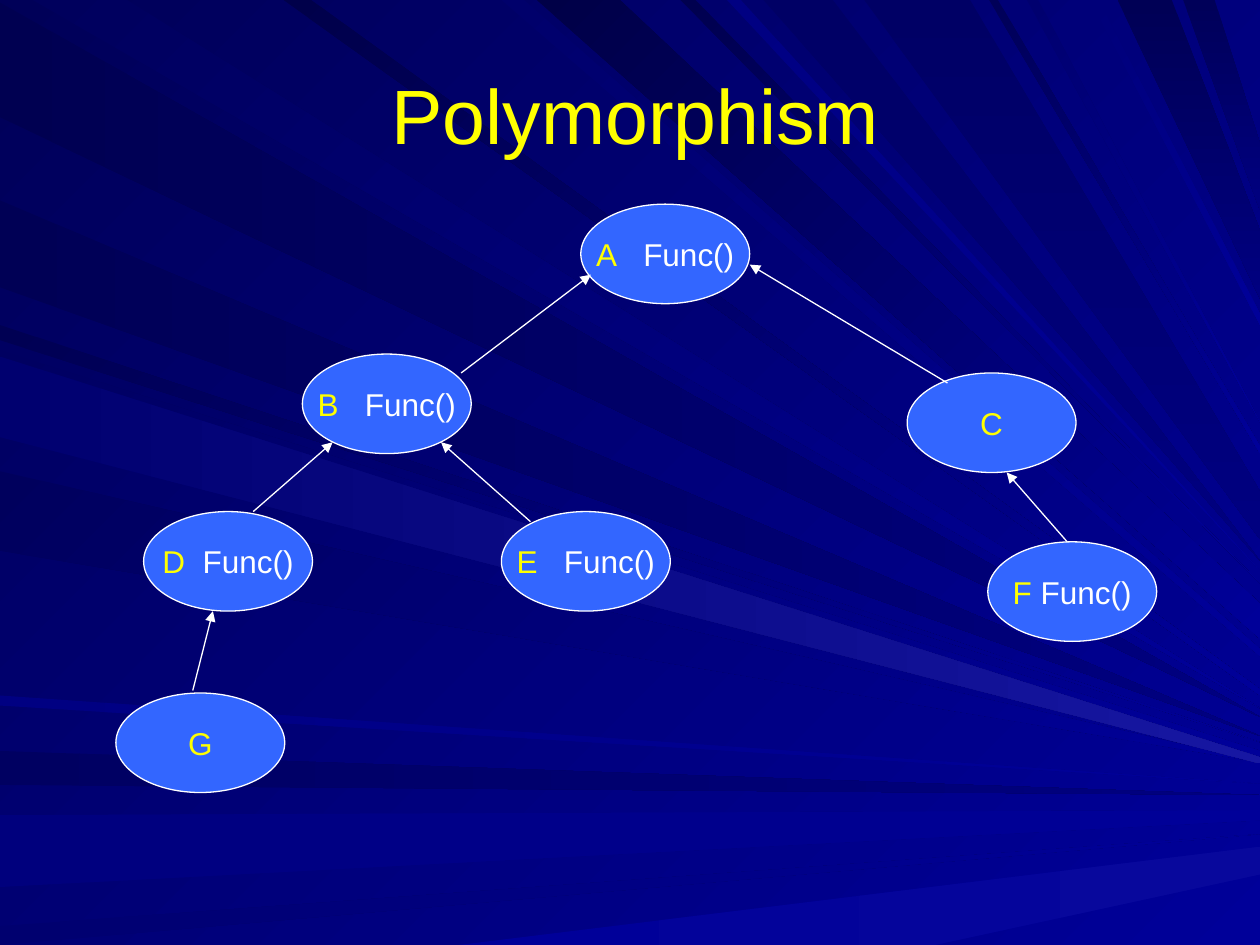
"""Build the Polymorphism slide: a class tree over a fan of blue rays."""
from lxml.etree import SubElement
from pptx import Presentation
from pptx.dml.color import RGBColor
from pptx.enum.shapes import MSO_CONNECTOR, MSO_SHAPE
from pptx.enum.text import MSO_ANCHOR, PP_ALIGN
from pptx.oxml.ns import qn
from pptx.util import Pt

SCALE = 9144
WIDE, HIGH = 1000, 750
NODE_W, NODE_H = 134, 79
FONT = "Arial"

WHITE = RGBColor(0xFF, 0xFF, 0xFF)
YELLOW = RGBColor(0xFF, 0xFF, 0x00)
OVAL = RGBColor(0x33, 0x66, 0xFF)
DARK = RGBColor(0x00, 0x00, 0x58)
NAVY = RGBColor(0x00, 0x00, 0x80)
BLUE = RGBColor(0x00, 0x00, 0x99)
MIST = RGBColor(0x08, 0x08, 0x9C)
GLOW = RGBColor(0x17, 0x17, 0xA2)

KINDS = {
    "left navy": (NAVY, 0),
    "left blue": (BLUE, 0),
    "left slant": (BLUE, 45),
    "left glow": (GLOW, 0),
    "base mist": (MIST, 0),
    "top navy": (NAVY, 90),
    "top blue": (BLUE, 45),
}

RAYS = [
    ("left navy", 0x51, 2, 93, 569),
    ("top blue", 0x5D, 26, 101, 562),
    ("left navy", 0x61, 596, 623, 631),
    ("left blue", 0x7D, 704, 647, 643, 8),
    ("left blue", 0x6F, 750, 735, 662),
    ("base mist", 0x99, 742, 364, 672, 22),
    ("left slant", 0x53, 258, 270, 589),
    ("left navy", 0x55, 159, 228, 584),
    ("top blue", 0x6B, 398, 416, 515, 6),
    ("top blue", 0x47, 426, 492, 479, 28),
    ("top blue", 0x4F, 540, 552, 463),
    ("top navy", 0x65, 606, 661, 445),
    ("top navy", 0x55, 887, 930, 183, 54),
    ("top navy", 0x59, 939, 964, 114, 53),
    ("left slant", 0x61, 342, 278, 596, 6),
    ("left slant", 0x5D, 374, 437, 605),
    ("left blue", 0x82, 552, 560, 622),
    ("top blue", 0x4A, 225, 247, 547, 5),
    ("top blue", 0x82, 577, 588, 453),
    ("top navy", 0x65, 686, 770, 390, 38),
    ("top blue", 0x58, 785, 792, 354, 6),
    ("top blue", 0x6F, 815, 824, 335),
    ("top blue", 0x79, 865, 872, 249, 9),
    ("left glow", 0x6F, 347, 283, 601, 5),
]

NODES = [
    ("A", 461, 162, 10), ("B", 240, 281, 10), ("G", 92, 550, None),
    ("C", 720, 296, None), ("E", 398, 406, 10), ("D", 114, 406, 5),
    ("F", 784, 430, 0),
]

LINKS = [
    (366, 296, 469, 218), (201, 406, 264, 351), (421, 414, 350, 351),
    (153, 548, 169, 485), (752, 304, 595, 210), (847, 430, 799, 375),
]


class Deck:
    """Hold the style and the current slide."""

    def __init__(self):
        self.prs = Presentation()
        self.prs.slide_width, self.prs.slide_height = self.emu(WIDE, HIGH)
        self.slide = self.prs.slides.add_slide(self.prs.slide_layouts[5])
        self.shapes = self.slide.shapes
        self.fan = self.shapes.add_group_shape()

    def emu(self, *nums):
        return [num * SCALE for num in nums]

    def blend(self, fill, start, end, angle):
        fill.gradient()
        fill.gradient_angle = (360 - angle) % 360
        for stop, color in zip(fill.gradient_stops, (start, end)):
            stop.color.rgb = color

    def style(self, run, size, color):
        run.font.name = FONT
        run.font.size = Pt(size)
        run.font.color.rgb = color

    def ray(self, kind, shade, low, high, tip, spread=0):
        edge = kind.split()[0]
        ends = [(0, pos) if edge == "left" else (pos, HIGH if edge == "base" else 0)
                for pos in (high, low)]
        form = self.fan.shapes.build_freeform(*ends[0], scale=SCALE)
        form.add_line_segments([ends[1], (WIDE, tip + spread), (WIDE, tip)], close=True)
        shape = form.convert_to_shape()
        shape.shadow.inherit = False
        shape.line.fill.background()
        self.blend(shape.fill, RGBColor(0, 0, shade), *KINDS[kind])

    def title(self, text, *box):
        shape = self.shapes.title
        shape.left, shape.top, shape.width, shape.height = self.emu(*box)
        self.label(shape.text_frame, text, 44)
        self.shapes._spTree.append(shape._element)

    def label(self, frame, text, size):
        frame.text = text
        frame.vertical_anchor = MSO_ANCHOR.MIDDLE
        para = frame.paragraphs[0]
        para.alignment = PP_ALIGN.CENTER
        self.style(para.runs[0], size, YELLOW)
        return para

    def node(self, name, left, top, gap):
        box = self.emu(left, top, NODE_W, NODE_H)
        oval = self.shapes.add_shape(MSO_SHAPE.OVAL, *box)
        oval.shadow.inherit = False
        oval.fill.solid()
        oval.fill.fore_color.rgb = OVAL
        oval.line.color.rgb = WHITE
        oval.line.width = Pt(0.75)
        oval.text_frame.word_wrap = False
        para = self.label(oval.text_frame, name, 18)
        if gap is not None:
            for text, space in ((" ", gap), ("Func()", 0)):
                run = para.add_run()
                run.text = text
                self.style(run, 18, WHITE)
                run._r.get_or_add_rPr().set("spc", str(space * 100))

    def arrow(self, *ends):
        link = self.shapes.add_connector(MSO_CONNECTOR.STRAIGHT, *self.emu(*ends))
        link.line.color.rgb = WHITE
        link.line.width = Pt(0.75)
        SubElement(link.line._get_or_add_ln(), qn("a:tailEnd"), type="triangle")
        SubElement(link._element.spPr, qn("a:effectLst"))


def main():
    deck = Deck()
    deck.blend(deck.slide.background.fill, DARK, BLUE, 45)
    for ray in RAYS:
        deck.ray(*ray)
    deck.title("Polymorphism", 138, 28, 733, 125)
    for node in NODES:
        deck.node(*node)
    for link in LINKS:
        deck.arrow(*link)
    deck.prs.save("out.pptx")


if __name__ == "__main__":
    main()
